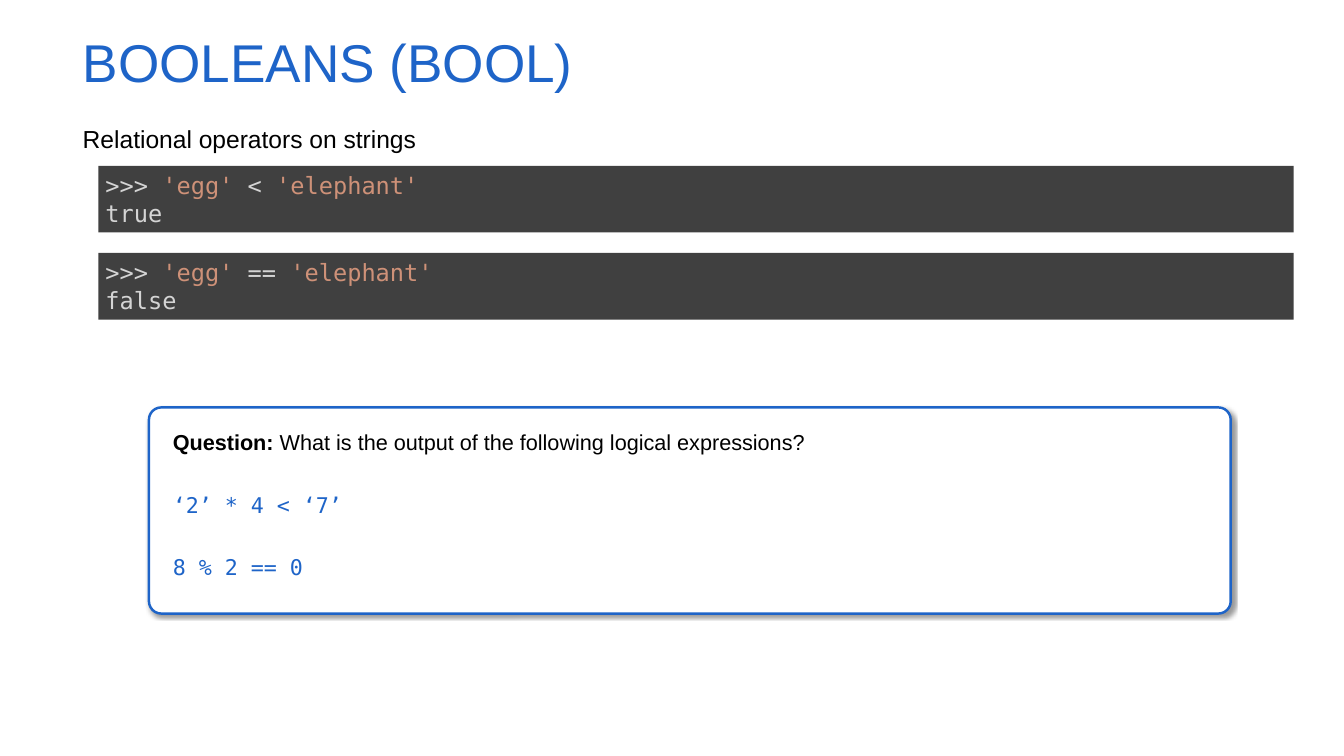
import pptx
import pptx.dml.color
import pptx.enum.shapes
import pptx.enum.text
import pptx.oxml
import pptx.oxml.ns
import pptx.util

SLIDE_WIDTH = pptx.util.Inches(18.96)
SLIDE_HEIGHT = pptx.util.Inches(10.67)

SHAPE = pptx.enum.shapes.MSO_SHAPE
ANCHOR = pptx.enum.text.MSO_ANCHOR
ALIGN = pptx.enum.text.PP_ALIGN

THEME = {
    "blue": "1E64C8", "black": "000000", "white": "FFFFFF",
    "code_back": "404040", "code_text": "D4D4D4", "code_string": "CE9178",
    "sans": "Arial", "mono": "DejaVu Sans Mono",
    "title_size": 54, "subtitle_size": 25, "code_size": 24, "question_size": 22,
    "border": 2.5,
}


def style(color, font, size, bold=False):
    """Format values of a run, named in the theme."""
    return {"color": color, "name": THEME[font],
            "size": pptx.util.Pt(THEME[size]), "bold": bold}


TITLE = style("blue", "sans", "title_size")
SUBTITLE = style("black", "sans", "subtitle_size")
CODE = style("code_text", "mono", "code_size")
STRING = style("code_string", "mono", "code_size")
LABEL = style("black", "sans", "question_size", bold=True)
QUESTION = style("black", "sans", "question_size")
EXPRESSION = style("blue", "mono", "question_size")


def rgb(name):
    return pptx.dml.color.RGBColor.from_string(THEME[name])


def place(left, top, width, height):
    """Turn percentages of the slide into lengths."""
    return (int(SLIDE_WIDTH * left / 100), int(SLIDE_HEIGHT * top / 100),
            int(SLIDE_WIDTH * width / 100), int(SLIDE_HEIGHT * height / 100))


def apply(target, values):
    for name, value in values.items():
        setattr(target, name, value)


def write(frame, lines, frame_format, spacing=1.0, gap=0):
    """Fill a frame with lines, each a list of (text, style) runs."""
    apply(frame, frame_format)
    for index, runs in enumerate(lines):
        para = frame.paragraphs[0] if index == 0 else frame.add_paragraph()
        apply(para, {"alignment": ALIGN.LEFT, "line_spacing": spacing,
                     "space_before": pptx.util.Pt(gap if index else 0)})
        for text, run_style in runs:
            span = para.add_run()
            span.text = text
            values = dict(run_style)
            span.font.color.rgb = rgb(values.pop("color"))
            apply(span.font, values)


def add_text(page, area, lines, spacing, anchor=ANCHOR.TOP, wrap=True, gap=0):
    box = page.shapes.add_textbox(*place(*area))
    write(box.text_frame, lines, {"word_wrap": wrap, "vertical_anchor": anchor},
          spacing, gap)


def add_panel(page, kind, area, fill):
    panel = page.shapes.add_shape(kind, *place(*area))
    panel.shadow.inherit = False
    panel.fill.solid()
    panel.fill.fore_color.rgb = rgb(fill)
    panel.line.fill.background()
    return panel


def add_code(page, area, lines):
    panel = add_panel(page, SHAPE.RECTANGLE, area, "code_back")
    write(panel.text_frame, lines,
          {"word_wrap": True, "vertical_anchor": ANCHOR.MIDDLE})


def add_card(page, area):
    """Rounded card with a blue border and a soft shadow."""
    card = add_panel(page, SHAPE.ROUNDED_RECTANGLE, area, "white")
    card.adjustments[0] = 0.06
    card.line.color.rgb = rgb("blue")
    card.line.width = pptx.util.Pt(THEME["border"])
    effects = card.element.spPr.find(pptx.oxml.ns.qn("a:effectLst"))
    effects.append(pptx.oxml.parse_xml(
        f'<a:outerShdw {pptx.oxml.ns.nsdecls("a")} blurRad="{pptx.util.Pt(4)}" '
        f'dist="{pptx.util.Pt(3)}" dir="2700000" algn="tl" rotWithShape="0">'
        f'<a:srgbClr val="{THEME["black"]}"><a:alpha val="40000"/></a:srgbClr>'
        '</a:outerShdw>'))


def main():
    deck = pptx.Presentation()
    apply(deck, {"slide_width": SLIDE_WIDTH, "slide_height": SLIDE_HEIGHT})
    page = deck.slides.add_slide(deck.slide_layouts[6])

    # Headings
    add_text(page, (5.64, 4.12, 90.61, 8.81), [[("BOOLEANS (BOOL)", TITLE)]],
             0.9, anchor=ANCHOR.BOTTOM)
    add_text(page, (5.64, 15.18, 26.11, 5.25),
             [[("Relational operators on strings", SUBTITLE)]], 1.2, wrap=False)

    # Console examples
    examples = [("<", "true"), ("==", "false")]
    for row, (operator, result) in enumerate(examples):
        add_code(page, (7.33, 21.93 + 11.53 * row, 88.92, 8.81), [
            [(">>> ", CODE), ("'egg'", STRING), (f" {operator} ", CODE),
             ("'elephant'", STRING)],
            [(result, CODE)],
        ])

    # Question card
    add_card(page, (11.08, 53.89, 80.49, 27.27))
    add_text(page, (12.34, 55.6, 79.22, 25.59), [
        [("Question: ", LABEL),
         ("What is the output of the following logical expressions?", QUESTION)],
        [("‘2’ * 4 < ‘7’", EXPRESSION)],
        [("8 % 2 == 0", EXPRESSION)],
    ], 1.2, gap=32)

    deck.save("out.pptx")


if __name__ == "__main__":
    main()
